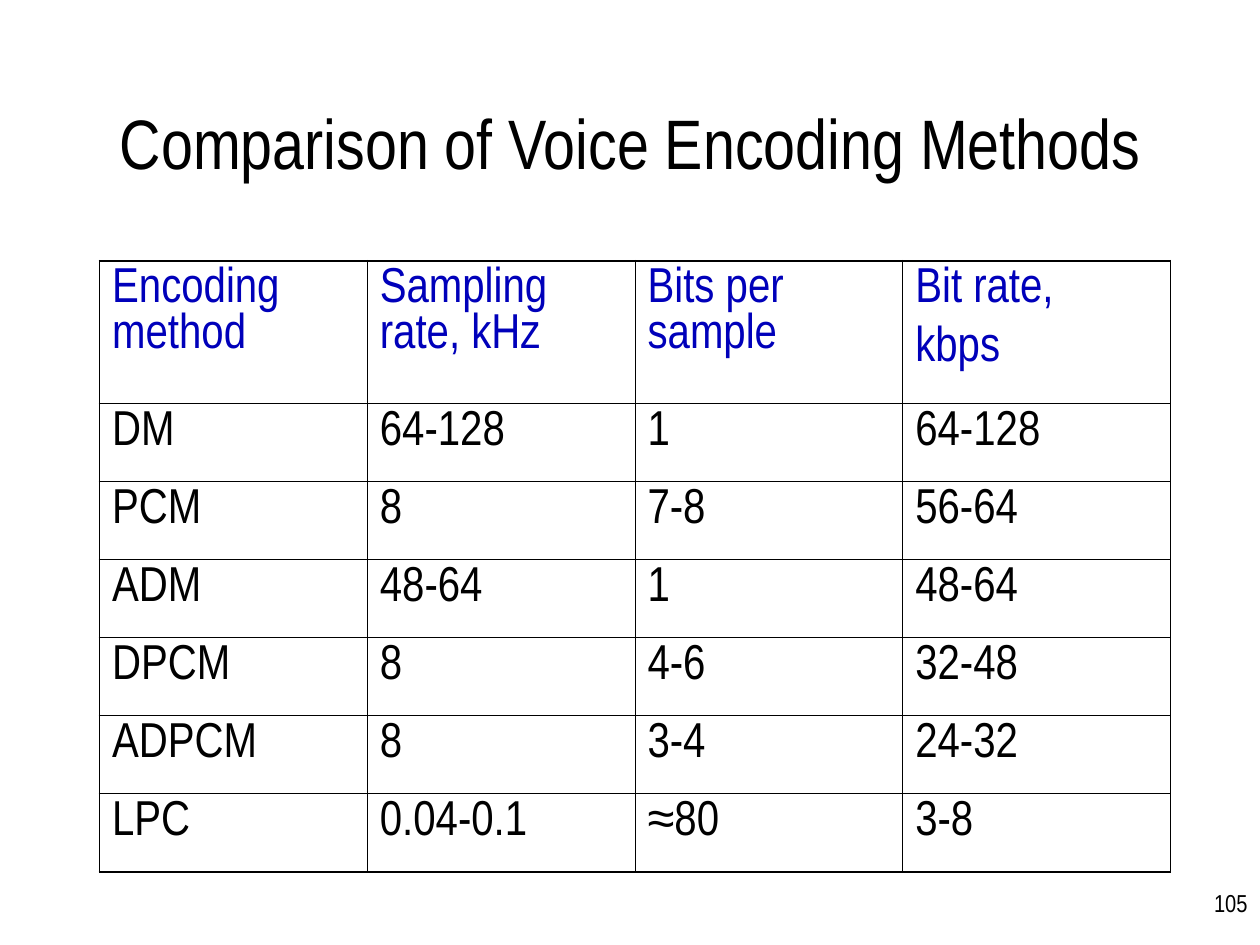
from dataclasses import dataclass

from lxml.etree import SubElement as Sub
from pptx import Presentation
from pptx.dml.color import RGBColor as Rgb
from pptx.enum.text import MSO_ANCHOR as Anchor, MSO_AUTO_SIZE as Fit, PP_ALIGN as Align
from pptx.oxml.ns import qn
from pptx.util import Inches, Pt


@dataclass(frozen=True)
class Theme:
    face: str = "Arial Narrow"
    ink: str = "000000"
    head: str = "0000BA"
    title: int = 40
    cell: int = 28
    page: int = 14
    gap: int = 7
    thick: float = 1.08
    thin: float = 0.45


@dataclass(frozen=True)
class Method:
    name: str
    rate: str
    bits: str
    speed: str

    def texts(self) -> tuple[str, ...]:
        return self.name, self.rate, self.bits, self.speed


THEME = Theme()
HEAD = Method("Encoding method", "Sampling rate, kHz", "Bits per sample", "Bit rate,\nkbps")
METHODS = [
    Method("DM", "64-128", "1", "64-128"),
    Method("PCM", "8", "7-8", "56-64"),
    Method("ADM", "48-64", "1", "48-64"),
    Method("DPCM", "8", "4-6", "32-48"),
    Method("ADPCM", "8", "3-4", "24-32"),
    Method("LPC", "0.04-0.1", "≈80", "3-8"),
]


def write(frame, text: str, size: int, color: str, align=Align.LEFT, gap: int = 0) -> None:
    frame.text = text
    for para in frame.paragraphs:
        para.alignment = align
        para.space_before = Pt(gap)
        para.font.name = THEME.face
        para.font.size = Pt(size)
        para.font.color.rgb = Rgb.from_string(color)


def edge(cell, side: str, width: float) -> None:
    line = Sub(cell._tc.get_or_add_tcPr(), qn(f"a:ln{side}"), w=str(Pt(width)))
    Sub(Sub(line, qn("a:solidFill")), qn("a:srgbClr"), val=THEME.ink)


def add_grid(slide, rows: list[Method]) -> None:
    high, wide = len(rows), len(rows[0].texts())
    grid = slide.shapes.add_table(
        high, wide, Inches(0.79), Inches(2.07), Inches(8.5), Inches(4.85)
    ).table
    grid.first_row = grid.horz_banding = False
    for r, (row, item) in enumerate(zip(grid.rows, rows)):
        row.height = Inches(0.62 if r else 1.13)
        for c, text in enumerate(item.texts()):
            cell = grid.cell(r, c)
            write(cell.text_frame, text, THEME.cell, THEME.ink if r else THEME.head, gap=THEME.gap)
            outer = {"L": c == 0, "R": c == wide - 1, "T": r == 0, "B": r == high - 1}
            for side, rim in outer.items():
                edge(cell, side, THEME.thick if rim else THEME.thin)
            cell.fill.background()


def main() -> None:
    """Build the voice encoding comparison slide."""
    deck = Presentation()
    deck.slide_width, deck.slide_height = Inches(10), Inches(7.5)
    slide = deck.slides.add_slide(deck.slide_layouts[5])

    title = slide.shapes.title
    title.left, title.top = Inches(0.75), Inches(0.67)
    title.width, title.height = Inches(8.5), Inches(0.91)
    frame = title.text_frame
    frame.auto_size = Fit.NONE
    frame.vertical_anchor = Anchor.MIDDLE
    write(frame, "Comparison of Voice Encoding Methods", THEME.title, THEME.ink, Align.CENTER)

    add_grid(slide, [HEAD, *METHODS])

    page = slide.shapes.add_textbox(Inches(9.25), Inches(7), Inches(0.75), Inches(0.5))
    page.text_frame.word_wrap = True
    write(page.text_frame, "105", THEME.page, THEME.ink, Align.RIGHT)

    deck.save("out.pptx")


if __name__ == "__main__":
    main()
